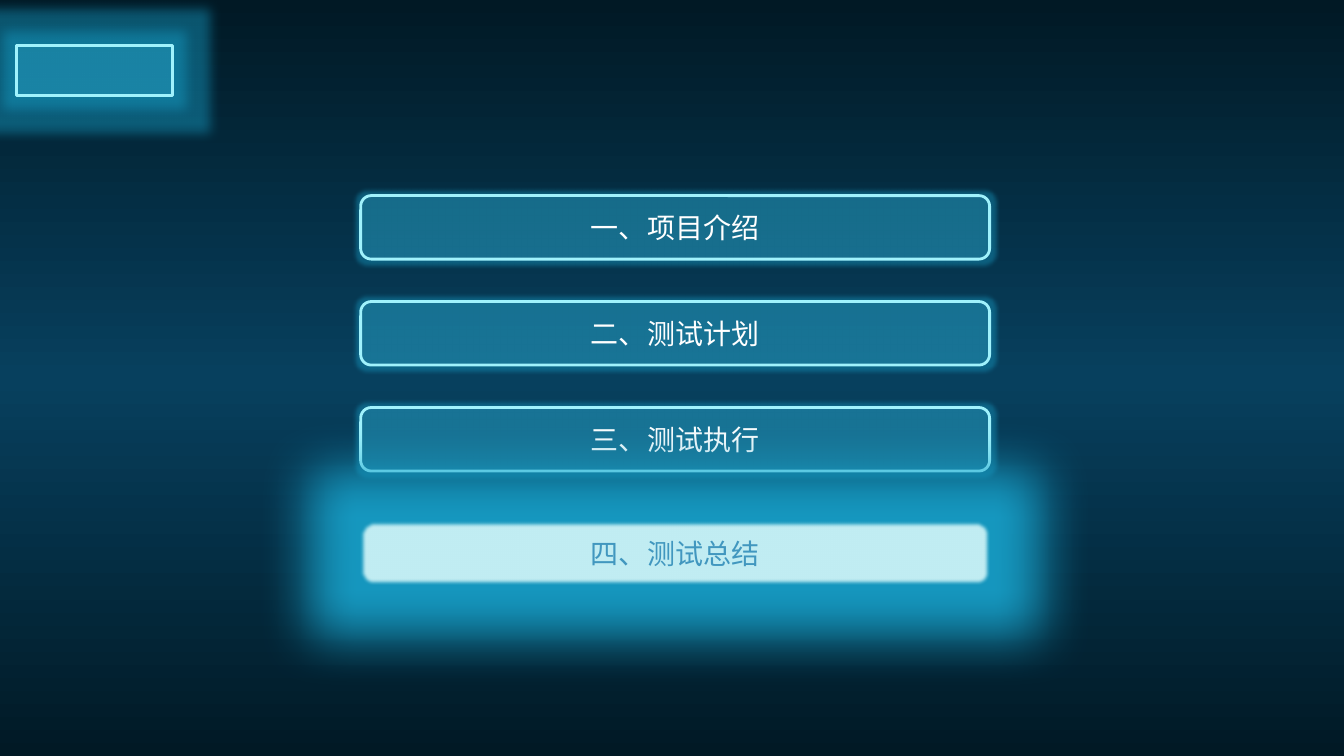
from copy import deepcopy

from lxml import etree
from pptx import Presentation
from pptx.dml.color import RGBColor
from pptx.enum import shapes, text
from pptx.oxml import ns
from pptx.util import Cm, Pt

NIGHT = RGBColor(0x01, 0x19, 0x25)
DEEP_BLUE = RGBColor(0x07, 0x40, 0x5E)
CYAN = RGBColor(0x45, 0xB1, 0xD2)
EDGE = RGBColor(0xA0, 0xF2, 0xFC)
GLOW = RGBColor(0x17, 0xA0, 0xC9)
PALE = RGBColor(0xE5, 0xFF, 0xFE)
WHITE = RGBColor(0xFF, 0xFF, 0xFF)
BLUE_TEXT = RGBColor(0x41, 0x97, 0xBF)
FONT = "Noto Sans CJK SC"


def set_alpha(color, percent):
    alpha = etree.SubElement(color, ns.qn("a:alpha"))
    alpha.set("val", str(percent * 1000))


def add_glowing_box(kind, left, top, width, height, fill, opacity, radius, strength):
    shape = slide.shapes.add_shape(kind, Cm(left), Cm(top), Cm(width), Cm(height))
    shape.fill.solid()
    shape.fill.fore_color.rgb = fill
    properties = shape.fill._xPr
    set_alpha(properties.find(".//" + ns.qn("a:srgbClr")), opacity)
    shape.line.color.rgb = EDGE
    shape.line.width = Pt(2)
    shape.shadow.inherit = False
    effects = properties.find(ns.qn("a:effectLst"))
    glow = etree.SubElement(effects, ns.qn("a:glow"), rad=str(Pt(radius)))
    color = etree.SubElement(glow, ns.qn("a:srgbClr"), val=str(GLOW))
    set_alpha(color, strength)
    return shape


presentation = Presentation()
presentation.slide_width = Cm(33.87)
presentation.slide_height = Cm(19.05)
slide = presentation.slides.add_slide(presentation.slide_layouts[6])

# Background, dark at both ends and blue in the middle
background = slide.shapes.add_shape(
    shapes.MSO_SHAPE.RECTANGLE, 0, 0, presentation.slide_width, presentation.slide_height)
background.shadow.inherit = False
background.line.fill.background()
background.fill.gradient()
background.fill.gradient_angle = 270
first, last = background.fill.gradient_stops
first.color.rgb = last.color.rgb = NIGHT
first.position, last.position = 0, 1
first._gs.addnext(deepcopy(first._gs))
middle = background.fill.gradient_stops[1]
middle.color.rgb = DEEP_BLUE
middle.position = 0.5

# Header box
add_glowing_box(shapes.MSO_SHAPE.RECTANGLE, 0.41, 1.14, 3.94, 1.27, CYAN, 20, 17, 45)

# Agenda, with the last entry highlighted
agenda = [("一、项目介绍", 4.93), ("二、测试计划", 7.6), ("三、测试执行", 10.27), ("四、测试总结", 13.14)]
for title, top in agenda:
    current = title == agenda[-1][0]
    fill, opacity, radius, strength = (PALE, 83, 75, 92) if current else (CYAN, 20, 6, 40)
    shape = add_glowing_box(shapes.MSO_SHAPE.ROUNDED_RECTANGLE, 9.09, top, 15.85, 1.6,
                            fill, opacity, radius, strength)
    if current:
        shape.line.fill.background()
        effects = shape.fill._xPr.find(ns.qn("a:effectLst"))
        etree.SubElement(effects, ns.qn("a:softEdge"), rad=str(Pt(2.5)))
    shape.text_frame.text = title
    shape.text_frame.vertical_anchor = text.MSO_ANCHOR.MIDDLE
    paragraph = shape.text_frame.paragraphs[0]
    paragraph.alignment = text.PP_ALIGN.CENTER
    font = paragraph.runs[0].font
    font.name = FONT
    font.size = Pt(20)
    font.color.rgb = BLUE_TEXT if current else WHITE
    east_asian = etree.SubElement(font._element, ns.qn("a:ea"))
    east_asian.set("typeface", FONT)

presentation.save("out.pptx")
